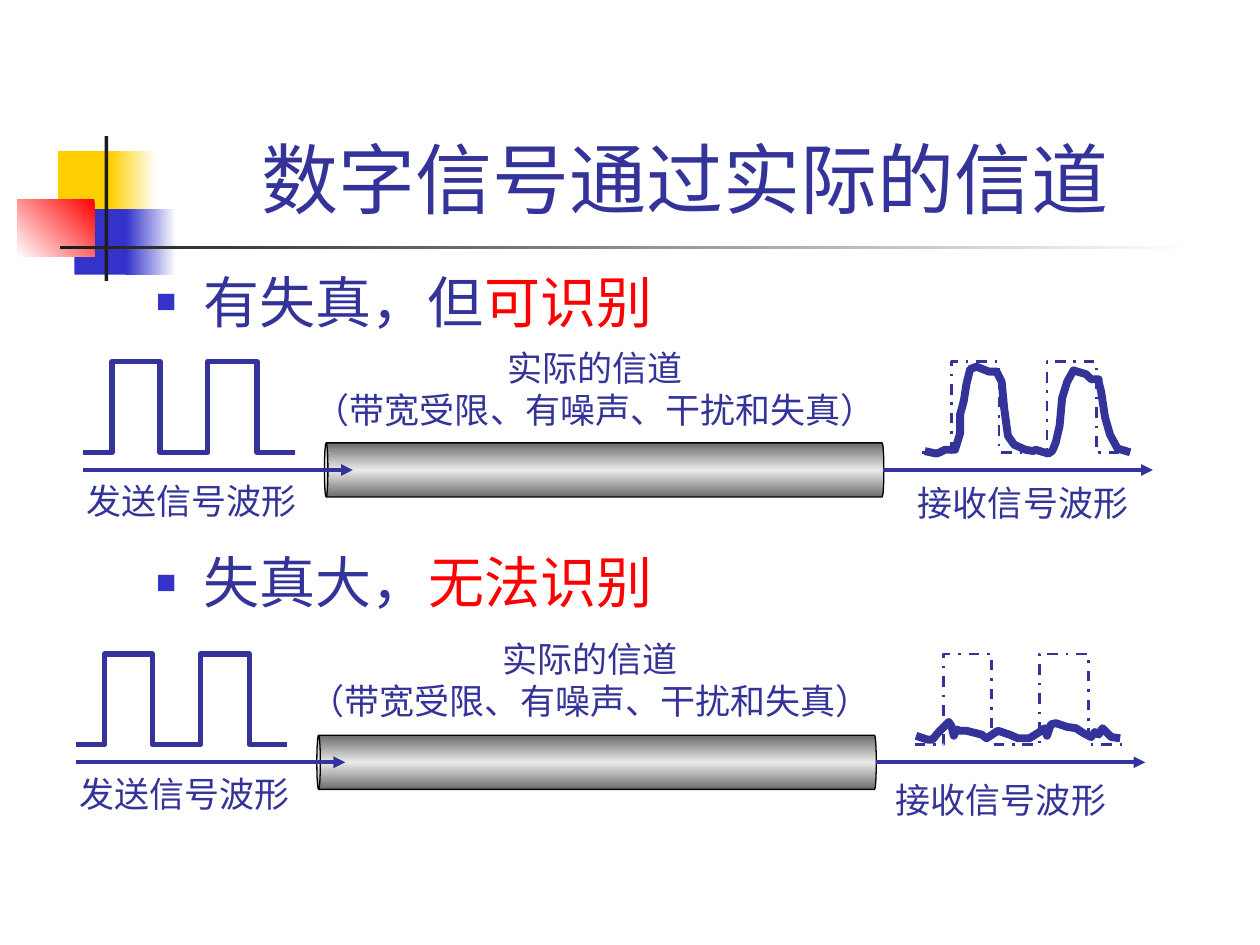
from dataclasses import dataclass

import lxml.etree
import pptx
import pptx.dml.color
import pptx.enum.dml
import pptx.enum.shapes
import pptx.enum.text
import pptx.oxml.ns
import pptx.util
from pptx.util import Inches

Point = tuple[float, float]
Run = tuple[str, str]
Align = pptx.enum.text.PP_ALIGN


@dataclass(frozen=True)
class Theme:
    ink: str = "333399"
    accent: str = "FF0000"
    bullet: str = "3333CC"
    yellow: str = "FFCF01"
    dark: str = "1C1C1C"
    white: str = "FFFFFF"
    black: str = "000000"
    pipe: tuple[str, ...] = ("6B6B6B", "EAEAEA", "6B6B6B")
    heading_font: str = "Arial"
    channel_font: str = "Times New Roman"
    label_font: str = "Noto Sans CJK SC"
    title_size: float = 44
    body_size: float = 32
    label_size: float = 20


@dataclass(frozen=True)
class Block:
    left: float
    top: float
    width: float
    height: float
    colors: tuple[str, ...]
    angle: float = 180


@dataclass(frozen=True)
class Diagram:
    left: float
    top: float
    channel_label: Point
    received_label: tuple[float, float, float]
    received_wave: tuple[Point, ...]


THEME = Theme()

DECORATION = (
    Block(0.46, 1.2, 0.48, 0.52, (THEME.yellow,)),
    Block(0.88, 1.2, 0.36, 0.52, (THEME.white, THEME.yellow)),
    Block(0.59, 1.66, 0.46, 0.52, (THEME.bullet,)),
    Block(1, 1.66, 0.4, 0.52, (THEME.white, THEME.bullet)),
    Block(0.14, 1.58, 0.61, 0.46, (THEME.accent, THEME.white), 225),
    Block(0.83, 1.08, 0.03, 1.15, (THEME.dark,)),
    Block(0.48, 1.95, 9, 0.03, (THEME.white, THEME.dark)),
)

DISTORTED_WAVE = (
    (7.34, 3.58), (7.43, 3.6), (7.46, 3.59), (7.5, 3.57), (7.58, 3.57), (7.62, 3.44),
    (7.62, 3.29), (7.64, 3.22), (7.65, 3.18), (7.67, 3.05), (7.7, 2.93), (7.75, 2.91),
    (7.85, 2.95), (7.91, 2.95), (7.95, 3.03), (7.97, 3.24), (8, 3.46), (8.05, 3.53),
    (8.14, 3.57), (8.2, 3.58), (8.22, 3.57), (8.32, 3.6), (8.35, 3.58), (8.36, 3.56),
    (8.38, 3.51), (8.41, 3.38), (8.43, 3.16), (8.47, 3.03), (8.52, 2.94), (8.62, 2.97),
    (8.66, 3.01), (8.72, 3.01), (8.72, 3.03), (8.74, 3.11), (8.77, 3.31), (8.81, 3.45),
    (8.87, 3.56), (8.97, 3.59),
)
LOST_WAVE = (
    (7.27, 5.84), (7.36, 5.87), (7.4, 5.87), (7.45, 5.81), (7.53, 5.73), (7.55, 5.76),
    (7.57, 5.84), (7.59, 5.79), (7.62, 5.8), (7.67, 5.8), (7.79, 5.83), (7.83, 5.86),
    (7.92, 5.8), (8.01, 5.83), (8.08, 5.86), (8.17, 5.86), (8.25, 5.81), (8.29, 5.78),
    (8.31, 5.84), (8.34, 5.75), (8.38, 5.74), (8.47, 5.77), (8.54, 5.78), (8.6, 5.82),
    (8.66, 5.85), (8.69, 5.81), (8.72, 5.83), (8.75, 5.78), (8.82, 5.85), (8.89, 5.86),
)
DIAGRAMS = (
    Diagram(0.66, 2.87, (2.4, 2.7), (7.07, 3.77, 2.1), DISTORTED_WAVE),
    Diagram(0.6, 5.19, (2.36, 5.01), (6.93, 6.13, 2.03), LOST_WAVE),
)


def rgb(color: str) -> pptx.dml.color.RGBColor:
    return pptx.dml.color.RGBColor.from_string(color)


def add_child(parent, tag: str, **attributes: str):
    child = lxml.etree.SubElement(parent, pptx.oxml.ns.qn(tag))
    for name, value in attributes.items():
        child.set(name, value)
    return child


def paint(shape, colors: tuple[str, ...], angle: float) -> None:
    shape.shadow.inherit = False
    if len(colors) == 1:
        shape.fill.solid()
        shape.fill.fore_color.rgb = rgb(colors[0])
        return
    shape.fill.gradient()
    shape.fill.gradient_angle = angle
    stop_list = shape._element.spPr.find(".//" + pptx.oxml.ns.qn("a:gsLst"))
    for _ in colors[2:]:
        add_child(stop_list, "a:gs", pos="100000").append(
            lxml.etree.fromstring(lxml.etree.tostring(stop_list[0][0])))
    for index, (stop, color) in enumerate(zip(shape.fill.gradient_stops, colors)):
        stop.position = index / (len(colors) - 1)
        stop.color.rgb = rgb(color)


def add_block(slide, block: Block) -> None:
    shape = slide.shapes.add_shape(
        pptx.enum.shapes.MSO_SHAPE.RECTANGLE,
        *map(Inches, (block.left, block.top, block.width, block.height)))
    paint(shape, block.colors, block.angle)
    shape.line.fill.background()


def add_pipe(slide, left: float, top: float) -> None:
    shape = slide.shapes.add_shape(
        pptx.enum.shapes.MSO_SHAPE.CAN, *map(Inches, (left, top, 0.43, 4.44)))
    shape.rotation = 270
    shape.adjustments[0] = 0.065
    paint(shape, THEME.pipe, 0)
    shape.line.color.rgb = rgb(THEME.black)
    shape.line.width = pptx.util.Pt(0.75)


def add_wave(slide, points, width: float, dashed: bool = False) -> None:
    start, *rest = [(Inches(x), Inches(y)) for x, y in points]
    builder = slide.shapes.build_freeform(*start)
    builder.add_line_segments(rest, close=False)
    shape = builder.convert_to_shape()
    shape.shadow.inherit = False
    shape.fill.background()
    shape.line.color.rgb = rgb(THEME.ink)
    shape.line.width = pptx.util.Pt(width)
    if dashed:
        shape.line.dash_style = pptx.enum.dml.MSO_LINE.DASH_DOT


def pulse_points(left: float, top: float) -> list[Point]:
    low, high = top + 0.72, top
    points = [(left, low)]
    for offset, before, after in (
            (0.23, low, high), (0.61, high, low), (0.99, low, high), (1.38, high, low)):
        points += [(left + offset, before), (left + offset, after)]
    return points + [(left + 1.68, low)]


def add_arrow(slide, left: float, top: float) -> None:
    connector = slide.shapes.add_connector(
        pptx.enum.shapes.MSO_CONNECTOR.STRAIGHT,
        *map(Inches, (left, top, left + 2.14, top)))
    connector.line.color.rgb = rgb(THEME.ink)
    connector.line.width = pptx.util.Pt(2.25)
    add_child(connector.line._get_or_add_ln(), "a:tailEnd", type="triangle")
    add_child(connector._element.spPr, "a:effectLst")


def add_text(slide, box: tuple[float, float, float, float], paragraphs: list[list[Run]],
             font: str, size: float, align: Align = Align.CENTER, wrap: bool = True):
    text_frame = slide.shapes.add_textbox(*map(Inches, box)).text_frame
    text_frame.word_wrap = wrap
    text_frame.text = "\n".join("" for _ in paragraphs)
    for paragraph, runs in zip(text_frame.paragraphs, paragraphs):
        paragraph.alignment = align
        for text, color in runs:
            run = paragraph.add_run()
            run.text = text
            run.font.name = font
            run.font.size = pptx.util.Pt(size)
            run.font.color.rgb = rgb(color)
    return text_frame


def add_bullet(paragraph) -> None:
    paragraph.line_spacing = 1.1
    properties = paragraph._p.get_or_add_pPr()
    properties.set("marL", str(Inches(0.38)))
    properties.set("indent", str(-Inches(0.38)))
    add_child(add_child(properties, "a:buClr"), "a:srgbClr", val=THEME.bullet)
    add_child(properties, "a:buSzPct", val="60000")
    add_child(properties, "a:buFont", typeface=THEME.heading_font)
    add_child(properties, "a:buChar", char="■")


def add_diagram(slide, diagram: Diagram) -> None:
    left, top = diagram.left, diagram.top
    add_pipe(slide, left + 3.92, top - 1.36)
    add_wave(slide, pulse_points(left, top), 3)
    add_arrow(slide, left, top + 0.86)
    add_wave(slide, pulse_points(left + 6.66, top), 1.5, dashed=True)
    add_arrow(slide, left + 6.35, top + 0.86)
    add_wave(slide, diagram.received_wave, 4.5)
    channel = [[("实际的信道", THEME.ink)], [("（带宽受限、有噪声、干扰和失真）", THEME.ink)]]
    add_text(slide, (*diagram.channel_label, 4.65, 0.77), channel,
             THEME.channel_font, THEME.label_size, wrap=False)
    add_text(slide, (left - 0.07, top + 0.89, 1.87, 0.44), [[("发送信号波形", THEME.ink)]],
             THEME.label_font, THEME.label_size, Align.LEFT, wrap=False)
    add_text(slide, (*diagram.received_label, 0.44), [[("接收信号波形", THEME.ink)]],
             THEME.label_font, THEME.label_size)


def main() -> None:
    presentation = pptx.Presentation()
    presentation.slide_width, presentation.slide_height = Inches(10), Inches(7.5)
    slide = presentation.slides.add_slide(presentation.slide_layouts[6])
    for block in DECORATION:
        add_block(slide, block)
    title = add_text(slide, (1.18, 0.23, 8.52, 1.6), [[("数字信号通过实际的信道", THEME.ink)]],
                     THEME.heading_font, THEME.title_size)
    title.vertical_anchor = pptx.enum.text.MSO_ANCHOR.BOTTOM
    points = [[("有失真，但", THEME.ink), ("可识别", THEME.accent)],
              [("失真大，", THEME.ink), ("无法识别", THEME.accent)]]
    body = add_text(slide, (1.14, 2.02, 8.5, 4.5), points,
                    THEME.heading_font, THEME.body_size, Align.LEFT)
    body.paragraphs[1].space_before = pptx.util.Pt(118)
    for paragraph in body.paragraphs:
        add_bullet(paragraph)
    for diagram in DIAGRAMS:
        add_diagram(slide, diagram)
    presentation.save("out.pptx")


if __name__ == "__main__":
    main()
